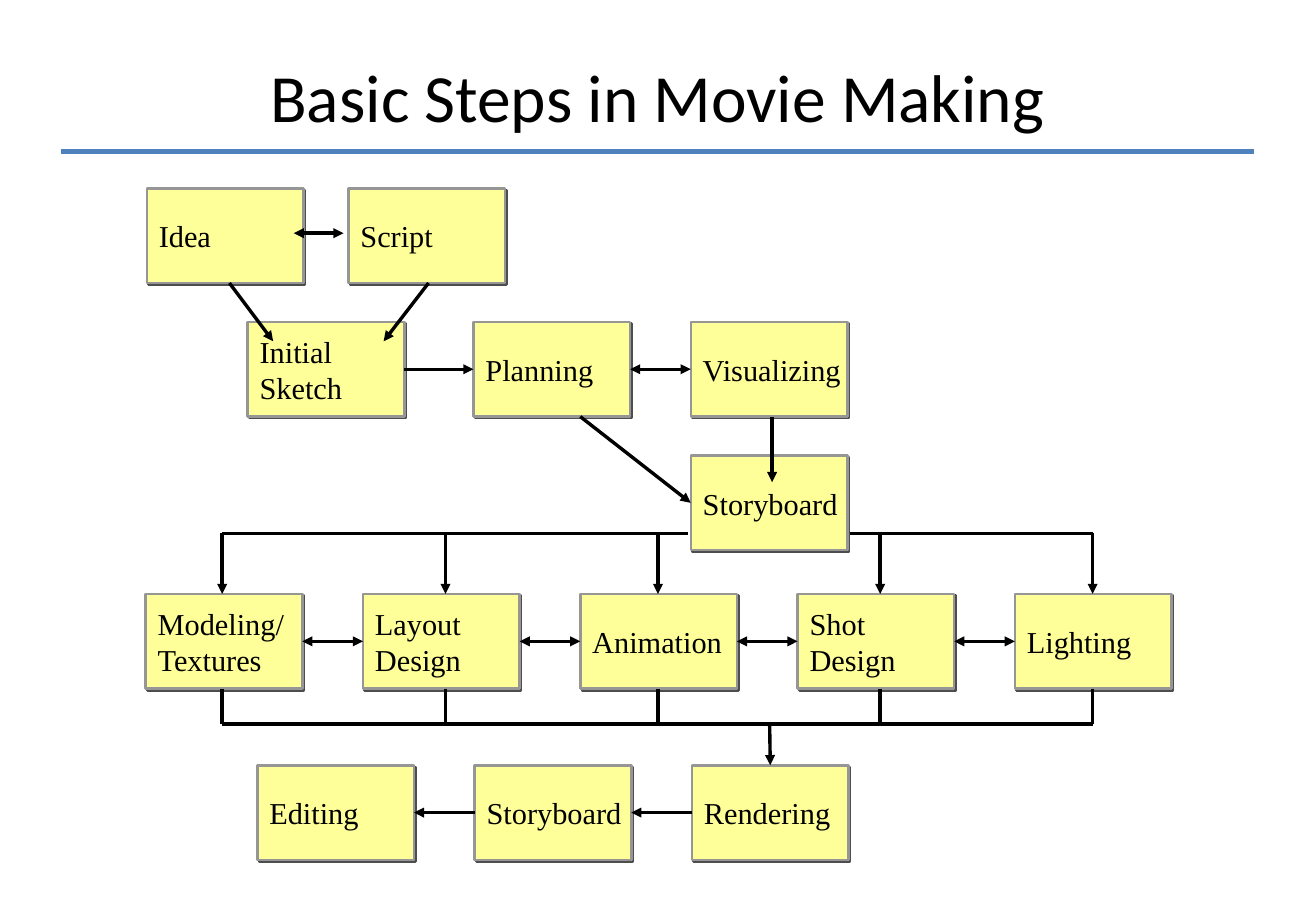
from lxml import etree
from pptx import Presentation
from pptx.dml.color import RGBColor
from pptx.enum.shapes import MSO_CONNECTOR, MSO_SHAPE
from pptx.enum.text import MSO_ANCHOR as ANCHOR, PP_ALIGN as ALIGN
from pptx.oxml.ns import qn
from pptx.util import Inches, Pt

COLORS = {"text": "000000", "rule": "4F81BD", "box": "FFFF99",
          "border": "969696", "shadow": "4D4D4D"}
WIDTH, HEIGHT = 10.84, 7.5
BOX_W, BOX_H = 1.29, 0.78
PITCH = 1.79
TOP, BOTTOM, LEFT, RIGHT = 0, 2, 1, 3

prs = Presentation()
prs.slide_width, prs.slide_height = Inches(WIDTH), Inches(HEIGHT)
s = prs.slides.add_slide(prs.slide_layouts[6])


def add_line(x1, y1, x2, y2, ends=(), color="text", width=2):
    """Draw a line; ends lists the arrowheads, "headEnd" at the start and "tailEnd" at the end."""
    line = s.shapes.add_connector(MSO_CONNECTOR.STRAIGHT, *map(Inches, (x1, y1, x2, y2)))
    line.line.color.rgb = RGBColor.from_string(COLORS[color])
    line.line.width = Pt(width)
    ln = line.line._get_or_add_ln()
    for end in ends:
        etree.SubElement(ln, qn(f"a:{end}"), type="triangle")
    etree.SubElement(line._element.spPr, qn("a:effectLst"))
    return line


def style_text(sp, text, font, size, align):
    tf = sp.text_frame
    tf.vertical_anchor = ANCHOR.MIDDLE
    tf.word_wrap = any(mark in text for mark in " /")
    p = tf.paragraphs[0]
    p.text = text
    p.alignment = align
    p.font.name, p.font.size = font, Pt(size)
    p.font.color.rgb = RGBColor.from_string(COLORS["text"])


# Title and rule
add_line(0.5, 1.25, 10.33, 1.25, color="rule", width=3)
title = s.shapes.add_textbox(Inches(0.81), Inches(0.33), Inches(9.21), Inches(0.92))
style_text(title, "Basic Steps in Movie Making", "Calibri", 40, ALIGN.CENTER)

# Step boxes: top, first left, pitch, names
rows = {
    "start": (1.55, 1.21, 1.66, ["Idea", "Script"]),
    "sketch": (2.65, 2.04, PITCH, ["Initial Sketch"]),
    "plan": (2.65, 3.9, PITCH, ["Planning", "Visualizing"]),
    "story": (3.75, 5.69, PITCH, ["Storyboard"]),
    "produce": (4.89, 1.2, PITCH, ["Modeling/Textures", "Layout Design", "Animation",
                                   "Shot Design", "Lighting"]),
    "finish": (6.3, 2.12, PITCH, ["Editing", "Storyboard", "Rendering"]),
}
boxes = {}
for row, (top, left, pitch, names) in rows.items():
    boxes[row] = []
    for col, name in enumerate(names):
        sp = s.shapes.add_shape(MSO_SHAPE.RECTANGLE, Inches(left + col * pitch), Inches(top),
                                Inches(BOX_W), Inches(BOX_H))
        sp.fill.solid()
        sp.fill.fore_color.rgb = RGBColor.from_string(COLORS["box"])
        sp.line.color.rgb = RGBColor.from_string(COLORS["border"])
        sp.line.width = Pt(1.5)
        sp.shadow.inherit = False
        effects = sp._element.spPr.find(qn("a:effectLst"))
        shadow = etree.SubElement(effects, qn("a:outerShdw"), dist=str(Pt(1.4)),
                                  dir="2700000", algn="ctr", rotWithShape="0")
        etree.SubElement(shadow, qn("a:srgbClr"), val=COLORS["shadow"])
        style_text(sp, name, "Times New Roman", 18, ALIGN.LEFT)
        boxes[row].append(sp)

# Arrows between neighbouring boxes
both = ("headEnd", "tailEnd")
neighbours = [(boxes["sketch"][0], boxes["plan"][0], ("tailEnd",))]
for row, ends in (("plan", both), ("produce", both), ("finish", ("headEnd",))):
    neighbours += [(a, b, ends) for a, b in zip(boxes[row], boxes[row][1:])]
for a, b, ends in neighbours:
    arrow = add_line(0, 0, 1, 1, ends)
    arrow.begin_connect(a, RIGHT)
    arrow.end_connect(b, LEFT)

# Arrows into the sketch and the storyboard
add_line(2.42, 1.92, 2.83, 1.92, both)
add_line(1.89, 2.33, 2.25, 2.81, ("tailEnd",))
add_line(3.53, 2.33, 3.16, 2.81, ("tailEnd",))
add_line(6.36, 3.43, 6.36, 3.97, ("tailEnd",))
add_line(4.78, 3.43, 5.69, 4.14, ("tailEnd",)).end_connect(boxes["story"][0], LEFT)

# Bus lines above and below the production row
upper, lower = 4.39, 5.96
produce_top = rows["produce"][0]
drops = [1.83, 3.67, 5.42, 7.25, 9]
for x in drops:
    add_line(x, upper, x, produce_top, ("tailEnd",))
    add_line(x, produce_top + BOX_H, x, lower)
add_line(drops[0], upper, 5.67, upper)
add_line(7, upper, drops[-1], upper)
add_line(drops[0], lower, drops[-1], lower)
add_line(6.34, lower, 6.34, 6.3, ("tailEnd",)).end_connect(boxes["finish"][2], TOP)

prs.save("out.pptx")
